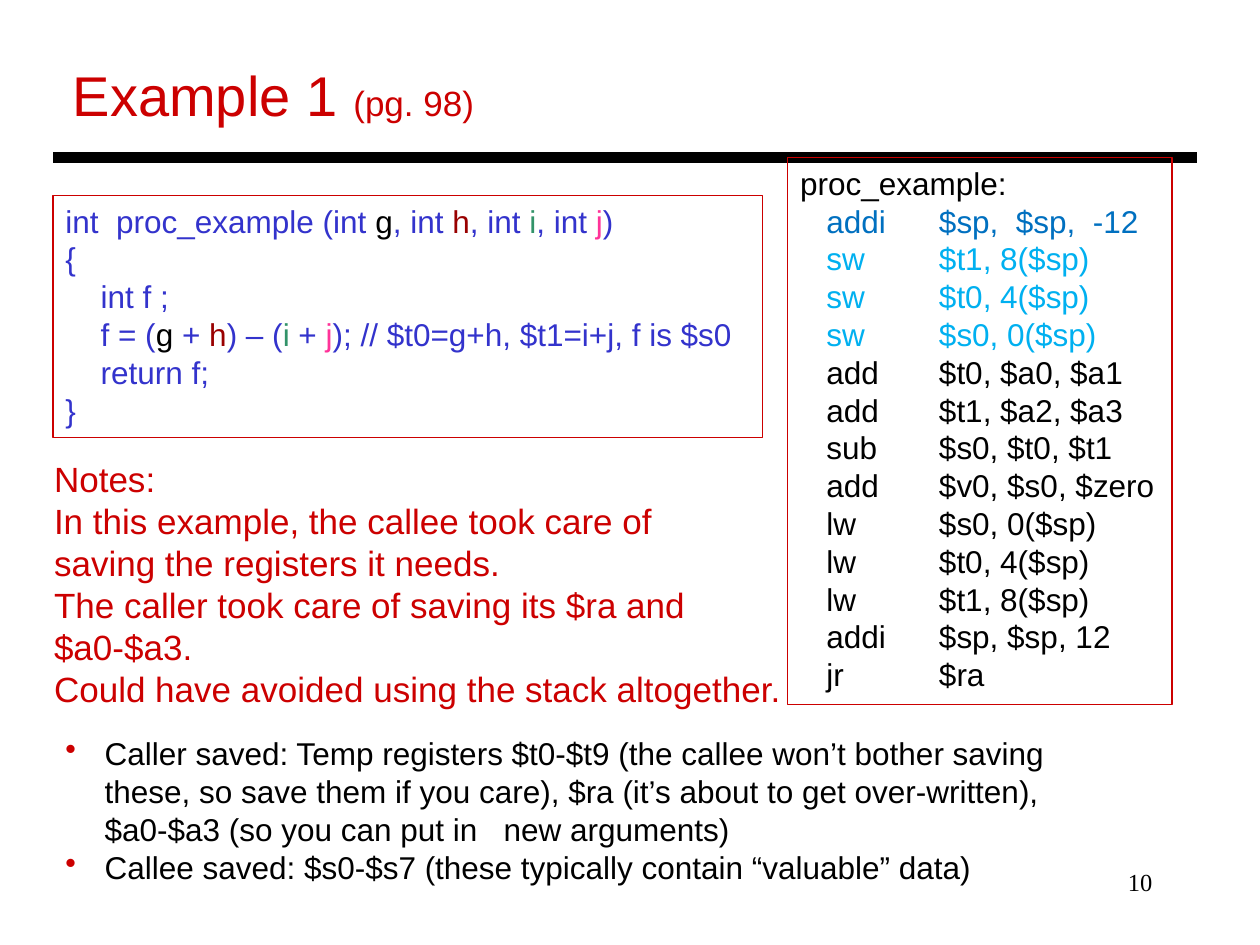
from lxml import etree
from pptx import Presentation
from pptx.dml.color import RGBColor
from pptx.enum.shapes import MSO_CONNECTOR, MSO_SHAPE
from pptx.enum.text import MSO_ANCHOR, PP_ALIGN
from pptx.oxml.ns import qn
from pptx.util import Cm, Pt

STRAIGHT = MSO_CONNECTOR.STRAIGHT
RECTANGLE = MSO_SHAPE.RECTANGLE
TOP = MSO_ANCHOR.TOP
LEFT, RIGHT = PP_ALIGN.LEFT, PP_ALIGN.RIGHT

RED, BLACK, BLUE = "CC0000", "000000", "3333CC"
STACK_BLUE, SAVE_BLUE = "0070C0", "00B0F0"
VARIABLE_COLOURS = {"g": BLACK, "h": "990000", "i": "329369", "j": "FF3399"}

# Bars separate the coloured variables from the rest; the number is the indent level.
C_CODE = [
    (0, "int  proc_example (int |g|, int |h|, int |i|, int |j|)"),
    (0, "{"),
    (1, "int f ;"),
    (1, "f = (|g| + |h|) – (|i| + |j|); // $t0=g+h, $t1=i+j, f is $s0"),
    (1, "return f;"),
    (0, "}"),
]
INSTRUCTIONS = [
    ("addi", "$sp,  $sp,  -12", STACK_BLUE),
    ("sw", "$t1, 8($sp)", SAVE_BLUE),
    ("sw", "$t0, 4($sp)", SAVE_BLUE),
    ("sw", "$s0, 0($sp)", SAVE_BLUE),
    ("add", "$t0, $a0, $a1", BLACK),
    ("add", "$t1, $a2, $a3", BLACK),
    ("sub", "$s0, $t0, $t1", BLACK),
    ("add", "$v0, $s0, $zero", BLACK),
    ("lw", "$s0, 0($sp)", BLACK),
    ("lw", "$t0, 4($sp)", BLACK),
    ("lw", "$t1, 8($sp)", BLACK),
    ("addi", "$sp, $sp, 12", BLACK),
    ("jr", "$ra", BLACK),
]
NOTES = [
    "Notes:",
    "In this example, the callee took care of",
    "saving the registers it needs.",
    "The caller took care of saving its $ra and",
    "$a0-$a3.",
    "Could have avoided using the stack altogether.",
]
SAVED_REGISTERS = [
    "Caller saved: Temp registers $t0-$t9 (the callee won’t bother saving these, "
    "so save them if you care), $ra (it’s about to get over-written), "
    "$a0-$a3 (so you can put in   new arguments)",
    "Callee saved: $s0-$s7 (these typically contain “valuable” data)",
]


def colour(value):
    """Turn a hex string into a colour."""
    return RGBColor.from_string(value)


class SlideBuilder:
    """Holds the text style and the current slide."""

    def __init__(self, slide, font="Arial", size=18):
        self.slide, self.font, self.size = slide, font, size

    def prepare(self, shape):
        """Set up the text frame of a shape and return it."""
        frame = shape.text_frame
        frame.word_wrap = True
        frame.vertical_anchor = TOP
        return frame

    def text_box(self, left, top, width, height):
        """Add an empty text box and return its frame."""
        box = self.slide.shapes.add_textbox(Cm(left), Cm(top), Cm(width), Cm(height))
        return self.prepare(box)

    def code_box(self, left, top, width, height):
        """Add an unfilled red frame for code and return its text frame."""
        shape = self.slide.shapes.add_shape(
            RECTANGLE, Cm(left), Cm(top), Cm(width), Cm(height))
        shape.shadow.inherit = False
        shape.fill.background()
        shape.line.color.rgb = colour(RED)
        shape.line.width = Pt(0.75)
        return self.prepare(shape)

    def paragraph(self, frame, runs, ink=BLACK, size=None, font=None, align=LEFT):
        """Write runs of (text, colour, size) as the next paragraph."""
        first = frame.paragraphs[0]
        paragraph = frame.add_paragraph() if first.runs else first
        paragraph.alignment = align
        paragraph.font.name = font or self.font
        paragraph.font.size = Pt(size or self.size)
        paragraph.font.color.rgb = colour(ink)
        for text, run_ink, run_size in runs:
            run = paragraph.add_run()
            run.text = text
            if run_ink:
                run.font.color.rgb = colour(run_ink)
            if run_size:
                run.font.size = Pt(run_size)
        return paragraph

    def indent(self, paragraph, margin, hanging=0):
        """Set the left margin and the hanging first line."""
        properties = paragraph._p.get_or_add_pPr()
        properties.set("marL", str(Cm(margin)))
        properties.set("indent", str(-Cm(hanging)))
        return properties

    def bullet(self, paragraph, ink):
        """Give a paragraph a coloured bullet."""
        properties = self.indent(paragraph, 0.79, 0.79)
        bullet_colour = etree.Element(qn("a:buClr"))
        etree.SubElement(bullet_colour, qn("a:srgbClr"), val=ink)
        mark = etree.Element(qn("a:buChar"), char="•")
        properties.insert(0, bullet_colour)
        properties.insert(1, mark)

    def tabs(self, paragraph, positions):
        """Set left tab stops."""
        properties = paragraph._p.get_or_add_pPr()
        stops = etree.Element(qn("a:tabLst"))
        for position in positions:
            etree.SubElement(stops, qn("a:tab"), pos=str(Cm(position)), algn="l")
        properties.insert(0, stops)

    def rule(self, left, right, top, width):
        """Add a thick horizontal line."""
        line = self.slide.shapes.add_connector(
            STRAIGHT, Cm(left), Cm(top), Cm(right), Cm(top))
        line.line.color.rgb = colour(BLACK)
        line.line.width = Pt(width)
        etree.SubElement(line._element.spPr, qn("a:effectLst"))


presentation = Presentation()
presentation.slide_width, presentation.slide_height = Cm(25.4), Cm(19.05)
slide = presentation.slides.add_slide(presentation.slide_layouts[6])
builder = SlideBuilder(slide)

page_number = builder.text_box(18.2, 17.35, 5.28, 1.27)
builder.paragraph(page_number, [("10", None, None)], size=14,
                  font="Times New Roman", align=RIGHT)

builder.rule(1.07, 24.13, 3.18, 6)

c_box = builder.code_box(1.07, 3.94, 14.3, 4.88)
for level, line in C_CODE:
    pieces = [(piece, VARIABLE_COLOURS.get(piece), None) for piece in line.split("|")]
    builder.indent(builder.paragraph(c_box, pieces, BLUE), 0.71 * level)

assembly_box = builder.code_box(15.88, 3.18, 7.75, 11.02)
builder.paragraph(assembly_box, [("proc_example:", None, None)])
for operation, operands, ink in INSTRUCTIONS:
    instruction = builder.paragraph(
        assembly_box, [(f"\t{operation}\t{operands}", None, None)], ink)
    builder.tabs(instruction, [0.53, 2.8])

notes_box = builder.text_box(0.84, 9.09, 15.27, 5.38)
for note in NOTES:
    builder.paragraph(notes_box, [(note, None, None)], RED, 20)

title_box = builder.text_box(1.22, 1.09, 8.66, 1.63)
builder.paragraph(title_box, [("Example 1 ", None, None), ("(pg. 98)", None, 20)], RED, 32)

registers_box = builder.text_box(1.07, 14.68, 21.16, 3.33)
for item in SAVED_REGISTERS:
    builder.bullet(builder.paragraph(registers_box, [(item, None, None)]), RED)

presentation.save("out.pptx")
